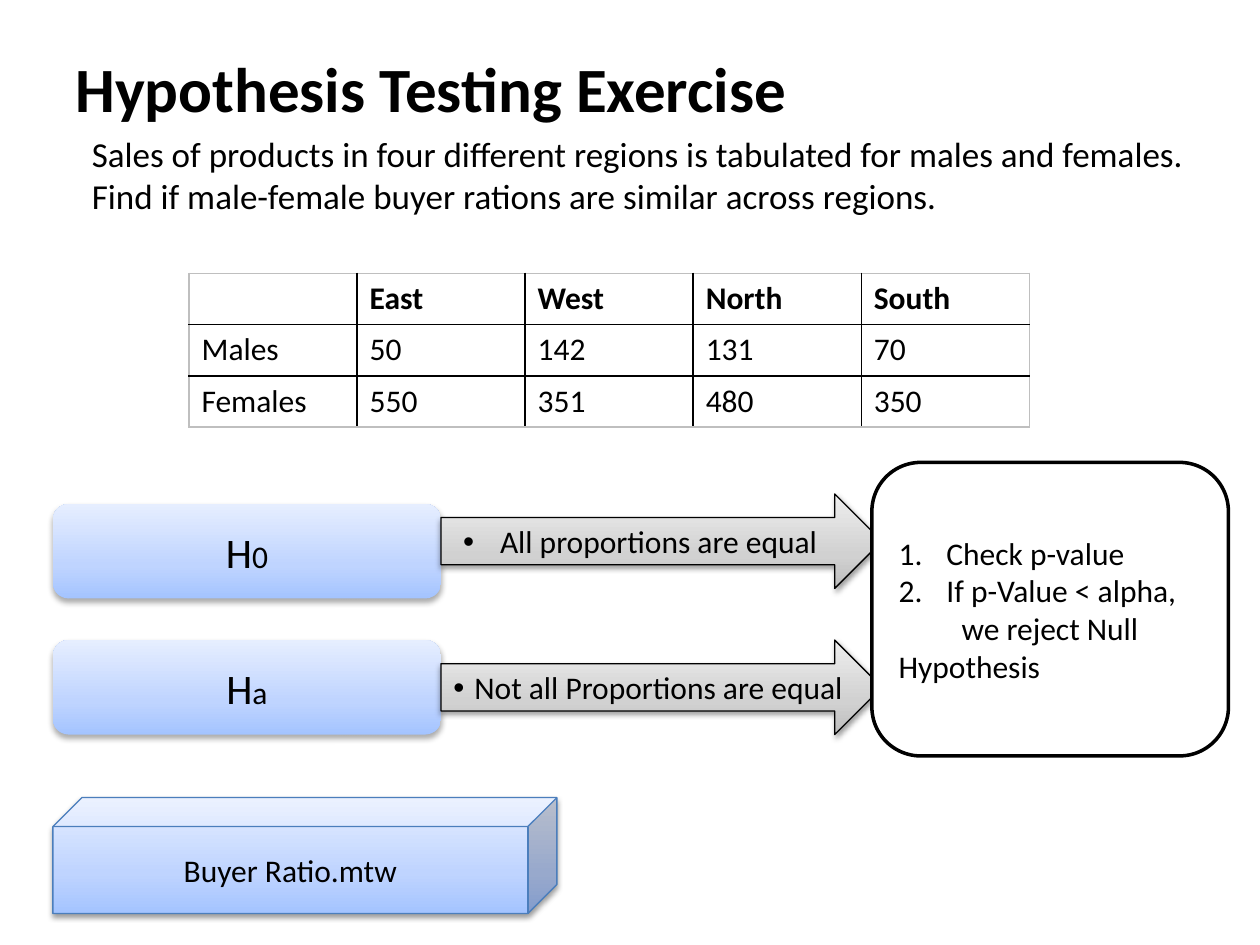
import pptx
import pptx.dml.color
import pptx.enum.shapes
import pptx.enum.text
import pptx.oxml.ns
import pptx.util
import copy
import lxml.etree

Inches = pptx.util.Inches
Pt = pptx.util.Pt
RGBColor = pptx.dml.color.RGBColor
Kind = pptx.enum.shapes.MSO_SHAPE
Align = pptx.enum.text.PP_ALIGN
Anchor = pptx.enum.text.MSO_ANCHOR
qn = pptx.oxml.ns.qn

BLACK = RGBColor(0x00, 0x00, 0x00)
WHITE = RGBColor(0xFF, 0xFF, 0xFF)
SILVER = RGBColor(0xBF, 0xBF, 0xBF)
EDGE = RGBColor(0x4B, 0x7E, 0xBC)
BLUES = [RGBColor(0xA4, 0xC4, 0xFF), RGBColor(0xBF, 0xD4, 0xFF), RGBColor(0xE6, 0xEE, 0xFF)]
GRAYS = [RGBColor(0xBD, 0xBD, 0xBD), RGBColor(0xD1, 0xD1, 0xD1), RGBColor(0xEE, 0xEE, 0xEE)]


def node(parent, tag, **attrs):
    child = lxml.etree.SubElement(parent, qn(tag))
    for key, value in attrs.items():
        child.set(key, str(value))
    return child


class Deck:
    font = "Calibri"

    def __init__(self, width, height):
        self.file = pptx.Presentation()
        self.file.slide_width = Inches(width)
        self.file.slide_height = Inches(height)
        self.slide = self.file.slides.add_slide(self.file.slide_layouts[6])

    def style(self, frame, size, bold=False, align=Align.LEFT):
        frame.word_wrap = True
        for para in frame.paragraphs:
            para.alignment = align
            for run in para.runs:
                run.font.name = self.font
                run.font.size = Pt(size)
                run.font.bold = bold
                run.font.color.rgb = BLACK

    def text(self, box, words, size, bold=False, anchor=Anchor.TOP):
        item = self.slide.shapes.add_textbox(*map(Inches, box))
        frame = item.text_frame
        frame.text = words
        frame.vertical_anchor = anchor
        self.style(frame, size, bold)
        return frame.paragraphs[0]

    def shape(self, kind, box, words, line=None, width=0.75, align=Align.CENTER):
        item = self.slide.shapes.add_shape(kind, *map(Inches, box))
        item.shadow.inherit = False
        if line is None:
            item.line.fill.background()
        else:
            item.line.color.rgb = line
            item.line.width = Pt(width)
        item.text_frame.text = words
        item.text_frame.vertical_anchor = Anchor.MIDDLE
        self.style(item.text_frame, 18, align=align)
        return item

    def shade(self, item, colors, alpha=38, blur=3.1, dist=1.6):
        item.fill.gradient()
        item.fill.gradient_angle = 90
        props = item._element.spPr
        stops = props.find(".//" + qn("a:gsLst"))
        stops.append(copy.deepcopy(stops[-1]))
        for stop, color, place in zip(item.fill.gradient_stops, colors, (0, 0.35, 1)):
            stop.color.rgb = color
            stop.position = place
        glow = node(props.find(qn("a:effectLst")), "a:outerShdw", blurRad=Pt(blur),
                    dist=Pt(dist), dir=90 * 60000, rotWithShape=0)
        node(node(glow, "a:srgbClr", val=BLACK), "a:alpha", val=alpha * 1000)

    def label(self, box, mark):
        item = self.shape(Kind.ROUNDED_RECTANGLE, box, "H")
        para = item.text_frame.paragraphs[0]
        para.add_run().text = mark
        self.style(item.text_frame, 18, align=Align.CENTER)
        para.runs[0].font.size = Pt(24)
        self.shade(item, BLUES, 32, 3.5, 2.2)

    def arrow(self, box, words):
        item = self.shape(Kind.RIGHT_ARROW, box, words, BLACK)
        props = item.text_frame.paragraphs[0]._p.get_or_add_pPr()
        node(props, "a:buFont", typeface="Arial")
        node(props, "a:buChar", char="•")
        self.shade(item, GRAYS)

    def steps(self, box, items, tail):
        item = self.shape(Kind.ROUNDED_RECTANGLE, box, "\n".join(items + [tail]),
                          BLACK, 2, Align.LEFT)
        item.fill.solid()
        item.fill.fore_color.rgb = WHITE
        *points, last = item.text_frame.paragraphs
        for para in points:
            props = para._p.get_or_add_pPr()
            props.set("marL", str(Inches(0.38)))
            props.set("indent", str(Inches(-0.38)))
            node(props, "a:buFont", typeface="+mj-lt")
            node(props, "a:buAutoNum", type="arabicPeriod")
        tabs = node(last._p.get_or_add_pPr(), "a:tabLst")
        node(tabs, "a:tab", pos=Inches(0.5), algn="l")

    def cube(self, box, words):
        self.shade(self.shape(Kind.CUBE, box, words, EDGE), BLUES)

    def table(self, box, rows):
        high, wide = len(rows), len(rows[0])
        grid = self.slide.shapes.add_table(high, wide, *map(Inches, box)).table
        grid.horz_banding = False
        grid.first_row = False
        for r, row in enumerate(rows):
            for c, words in enumerate(row):
                cell = grid.cell(r, c)
                cell.text = words
                self.style(cell.text_frame, 18, bold=r == 0)
                outer = {"a:lnL": c == 0, "a:lnR": c == wide - 1,
                         "a:lnT": r == 0, "a:lnB": r == high - 1}
                for tag, rim in outer.items():
                    line = node(cell._tc.get_or_add_tcPr(), tag, w=Pt(1))
                    node(node(line, "a:solidFill"), "a:srgbClr", val=SILVER if rim else BLACK)
                cell.fill.background()


def main():
    deck = Deck(10, 7.5)
    deck.text((0.5, 0.3, 9, 0.78), "Hypothesis Testing Exercise", 36, True, Anchor.MIDDLE)
    intro = deck.text((0.25, 1, 9.58, 6.25),
                      "Sales of products in four different regions is tabulated for males and "
                      "females. Find if male-female buyer rations are similar across regions.", 20)
    intro.space_before = Pt(4)
    intro._p.get_or_add_pPr().set("marL", str(Inches(0.38)))
    deck.table((1.5, 2.17, 6.67, 1.22), [
        ["", "East", "West", "North", "South"],
        ["Males", "50", "142", "131", "70"],
        ["Females", "550", "351", "480", "350"],
    ])
    for top, mark in ((4, "0"), (5.08, "a")):
        deck.label((0.42, top, 3.08, 0.75), mark)
    for top, words in ((3.92, " All proportions are equal"),
                       (5.08, " Not all Proportions are equal")):
        deck.arrow((3.5, top, 3.5, 0.75), words)
    deck.steps((6.92, 3.67, 2.83, 2.33), ["Check p-value", "If p-Value < alpha,"],
               "\twe reject Null \tHypothesis")
    deck.cube((0.42, 6.33, 4, 0.92), "Buyer Ratio.mtw")
    deck.file.save("out.pptx")


if __name__ == "__main__":
    main()
